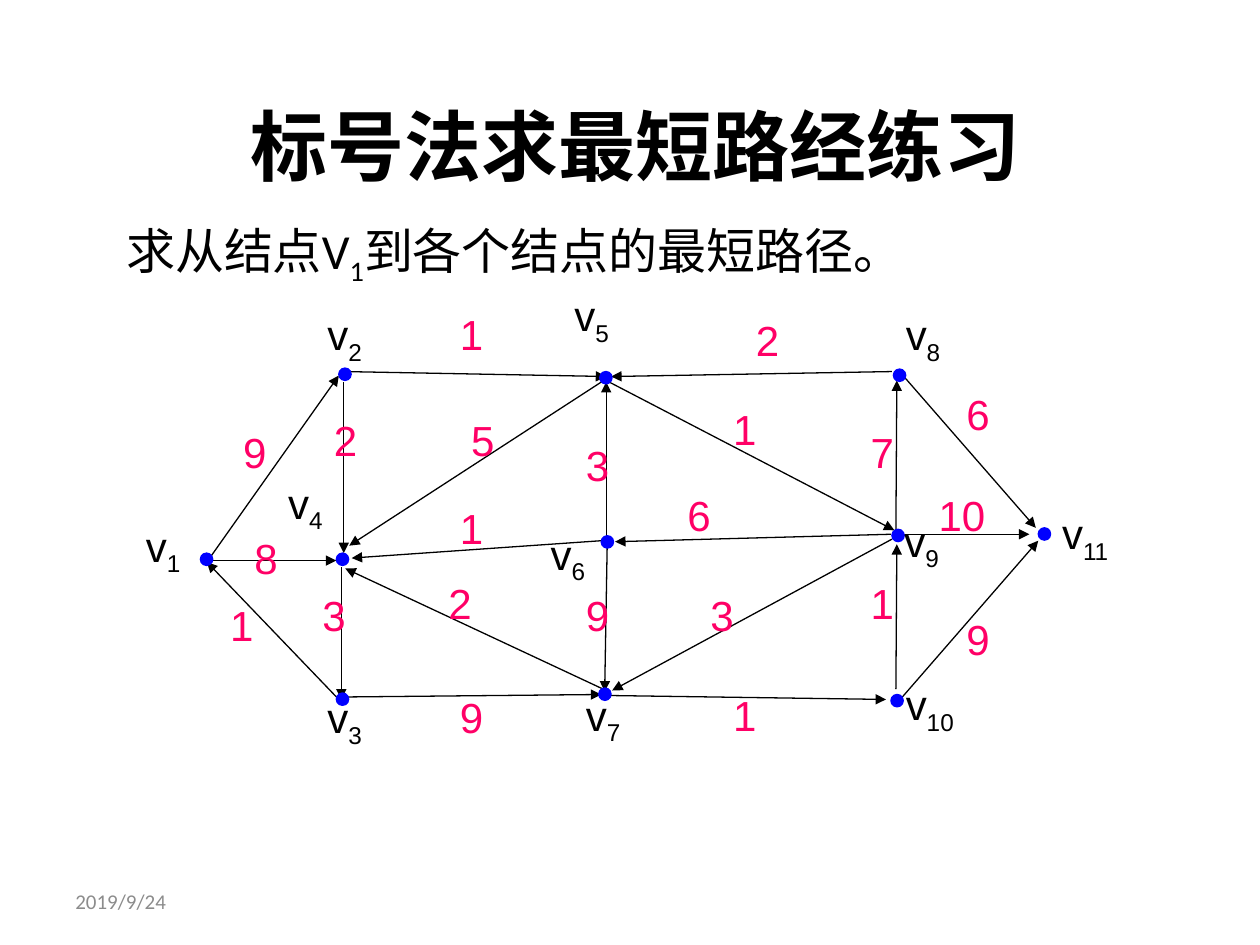
from lxml.etree import SubElement
from pptx import Presentation
from pptx.dml.color import RGBColor
from pptx.enum.shapes import MSO_CONNECTOR, MSO_SHAPE
from pptx.enum.text import MSO_ANCHOR, PP_ALIGN
from pptx.oxml.ns import qn
from pptx.util import Cm, Pt

BLACK, BLUE, PINK, GREY = "000000", "0000FF", "FF0066", "8C8C8C"
DOT = 0.25
LABEL_HEIGHT = 1.27

# name: dot left, dot top, label left, label top (cm)
NODES = {
    "1": (4.04, 11.15, 2.69, 10.36),
    "2": (6.83, 7.42, 6.35, 6.10),
    "3": (6.78, 13.97, 6.35, 13.82),
    "4": (6.78, 11.15, 5.56, 9.50),
    "5": (12.09, 7.49, 11.33, 5.72),
    "6": (12.12, 10.80, 10.85, 10.52),
    "7": (12.07, 13.87, 11.56, 13.77),
    "8": (18.01, 7.44, 18.01, 6.10),
    "9": (17.98, 10.67, 17.98, 10.26),
    "10": (17.96, 14.00, 18.01, 13.56),
    "11": (20.93, 10.64, 21.16, 10.11),
}

# start x, start y, end x, end y, weight, weight left, weight top (cm)
EDGES = [
    (4.17, 11.33, 6.83, 7.57, "9", 4.65, 8.48),
    (4.17, 11.30, 6.78, 11.30, "8", 4.88, 10.62),
    (6.83, 14.10, 4.17, 11.33, "1", 4.39, 11.96),
    (6.93, 7.70, 6.93, 11.15, "2", 6.48, 8.23),
    (6.88, 11.43, 6.88, 14.10, "3", 6.25, 11.76),
    (6.93, 7.49, 12.22, 7.59, "1", 9.02, 6.10),
    (12.17, 7.67, 7.04, 11.00, "5", 9.25, 8.23),
    (12.12, 10.90, 7.09, 11.25, "1", 9.02, 10.01),
    (12.22, 13.92, 6.96, 11.46, "2", 8.79, 11.51),
    (6.96, 14.05, 12.12, 14.00, "9", 9.02, 13.82),
    (12.22, 10.82, 12.22, 7.70, "3", 11.56, 8.74),
    (12.24, 11.00, 12.19, 13.94, "9", 11.56, 11.76),
    (17.98, 7.49, 12.32, 7.59, "2", 14.99, 6.22),
    (12.22, 7.67, 18.03, 10.69, "1", 14.53, 8.00),
    (17.96, 10.77, 12.40, 10.92, "6", 13.61, 9.75),
    (17.98, 10.87, 12.34, 13.92, "3", 14.07, 11.76),
    (12.24, 14.02, 17.86, 14.10, "1", 14.53, 13.77),
    (18.06, 10.69, 18.08, 7.67, "7", 17.30, 8.48),
    (18.06, 13.89, 18.08, 10.97, "1", 17.30, 11.51),
    (18.16, 7.52, 20.88, 10.64, "6", 19.23, 7.70),
    (17.98, 10.77, 20.75, 10.77, "10", 18.67, 9.75),
    (18.06, 14.20, 20.93, 10.90, "9", 19.23, 12.24),
]


def color(value):
    """Turn a hex string into a colour."""
    return RGBColor.from_string(value)


def write(para, runs, size, font, hex_color):
    """Add (text, is_subscript) runs to a paragraph in one style."""
    for text, is_subscript in runs:
        span = para.add_run()
        span.text = text
        span.font.size = Pt(size)
        span.font.name = font
        span.font.color.rgb = color(hex_color)
        if is_subscript:
            span.font._element.set("baseline", "-25000")


deck = Presentation()
deck.slide_width, deck.slide_height = Cm(25.4), Cm(19.05)
page = deck.slides.add_slide(deck.slide_layouts[1])

# Title and task
title, body = page.shapes.title, page.placeholders[1]
title.left, title.top, title.width, title.height = Cm(2.11), Cm(1.32), Cm(21.41), Cm(3.18)
title.text_frame.vertical_anchor = MSO_ANCHOR.MIDDLE
heading = title.text_frame.paragraphs[0]
heading.alignment = PP_ALIGN.CENTER
heading.font.bold = True
write(heading, [("标号法求最短路经练习", False)], 44, "Calibri", BLACK)
heading.runs[0].font.bold = True

body.left, body.top, body.width, body.height = Cm(2.29), Cm(4.32), Cm(17.6), Cm(1.7)
task = body.text_frame.paragraphs[0]
task_format = task._p.get_or_add_pPr()
task_format.set("marL", str(Cm(0.95)))
task_format.set("indent", str(-Cm(0.95)))
SubElement(task_format, qn("a:buNone"))
write(task, [("求从结点V", False), ("1", True), ("到各个结点的最短路径。", False)], 28, "Calibri", BLACK)

# Arrows, then dots, then labels
graph = page.shapes.add_group_shape().shapes
labels = []
for start_x, start_y, end_x, end_y, weight, left, top in EDGES:
    arrow = graph.add_connector(MSO_CONNECTOR.STRAIGHT, Cm(start_x), Cm(start_y), Cm(end_x), Cm(end_y))
    arrow.line.color.rgb = color(BLACK)
    arrow.line.width = Pt(0.75)
    SubElement(arrow.line._get_or_add_ln(), qn("a:tailEnd"), type="triangle")
    SubElement(arrow._element.spPr, qn("a:effectLst"))
    width = 1.45 if len(weight) == 1 else 2.08
    labels.append((left, top, width, [(weight, False)], PINK))

for name, (dot_left, dot_top, left, top) in NODES.items():
    dot = graph.add_shape(MSO_SHAPE.OVAL, Cm(dot_left), Cm(dot_top), Cm(DOT), Cm(DOT))
    dot.shadow.inherit = False
    dot.fill.solid()
    dot.fill.fore_color.rgb = color(BLUE)
    dot.line.color.rgb = color(BLUE)
    dot.line.width = Pt(0.75)
    width = 1.7 if len(name) == 1 else 2.2
    labels.append((left, top, width, [("v", False), (name, True)], BLACK))

for left, top, width, runs, hex_color in labels:
    box = graph.add_textbox(Cm(left), Cm(top), Cm(width), Cm(LABEL_HEIGHT))
    box.text_frame.word_wrap = True
    write(box.text_frame.paragraphs[0], runs, 24, "Arial", hex_color)

# Date
date = page.shapes.add_textbox(Cm(1.27), Cm(17.65), Cm(5.92), Cm(1.02))
date.text_frame.word_wrap = True
date.text_frame.vertical_anchor = MSO_ANCHOR.MIDDLE
write(date.text_frame.paragraphs[0], [("2019/9/24", False)], 12, "Calibri", GREY)

deck.save("out.pptx")
